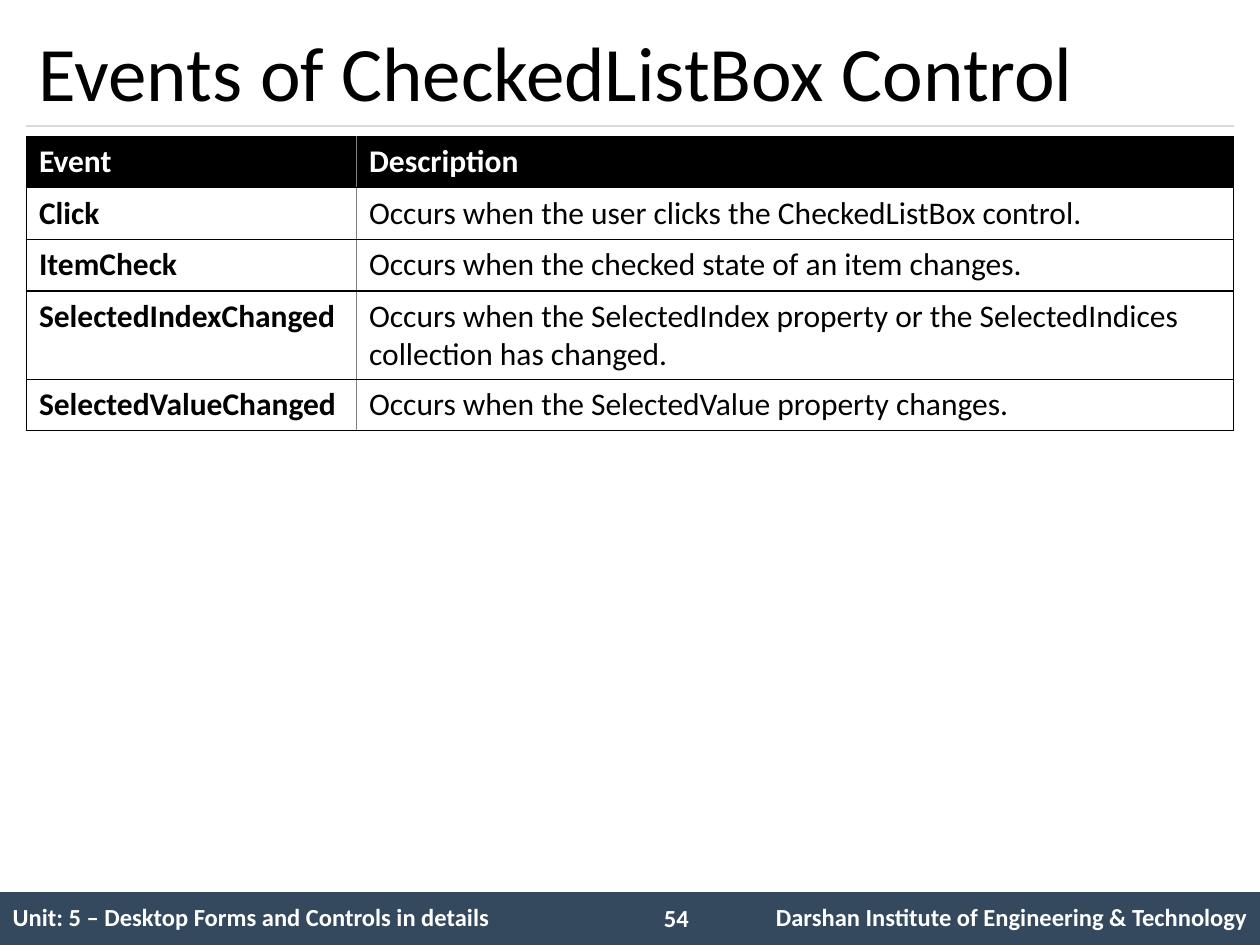
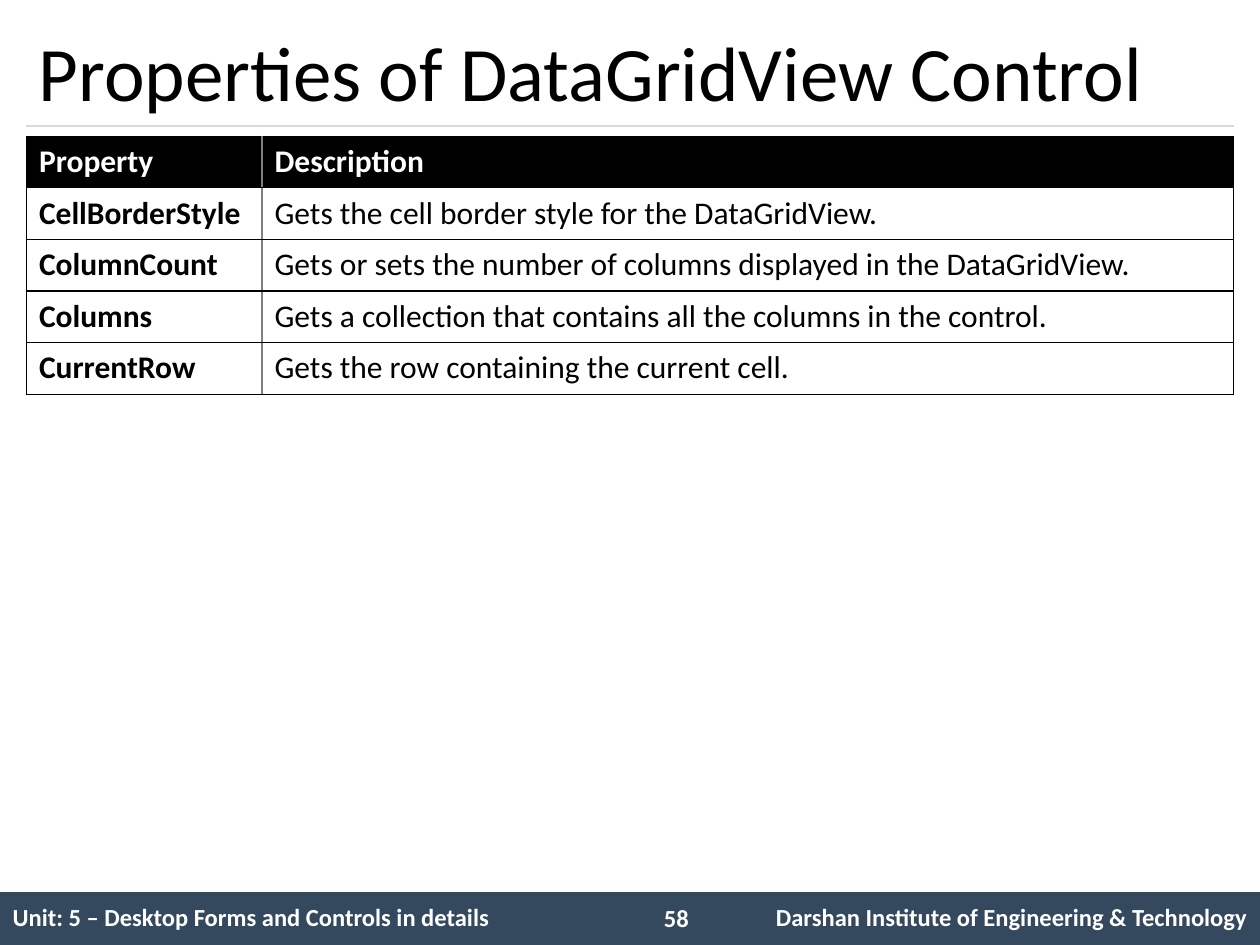
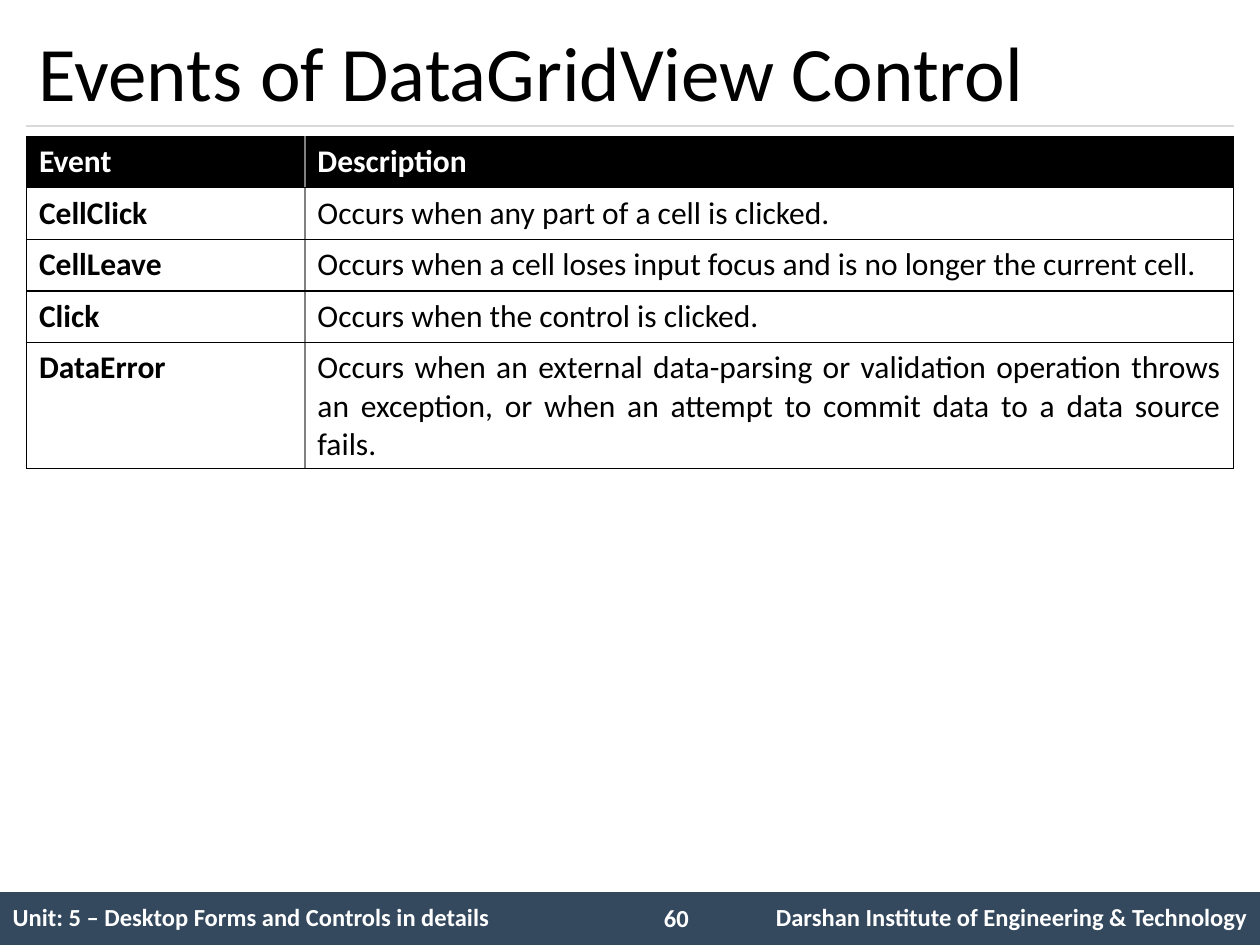
from lxml import etree
from pptx import Presentation
from pptx.dml.color import RGBColor
from pptx.enum.shapes import MSO_CONNECTOR, MSO_SHAPE
from pptx.enum.text import MSO_ANCHOR, MSO_AUTO_SIZE, PP_ALIGN
from pptx.oxml.ns import qn
from pptx.util import Inches, Pt

LEFT, RIGHT, JUSTIFY = PP_ALIGN.LEFT, PP_ALIGN.RIGHT, PP_ALIGN.JUSTIFY
TOP, MIDDLE = MSO_ANCHOR.TOP, MSO_ANCHOR.MIDDLE
RECTANGLE, STRAIGHT = MSO_SHAPE.RECTANGLE, MSO_CONNECTOR.STRAIGHT
GROW = MSO_AUTO_SIZE.SHAPE_TO_FIT_TEXT

BLACK = RGBColor(0x00, 0x00, 0x00)
WHITE = RGBColor(0xFF, 0xFF, 0xFF)
NAVY = RGBColor(0x34, 0x49, 0x5E)
RULE_GREY = RGBColor(0xD9, 0xD9, 0xD9)
DIVIDER_GREY = RGBColor(0x80, 0x80, 0x80)

TITLE = {"size": Pt(44), "color": BLACK}
HEADER = {"size": Pt(18), "bold": True, "color": WHITE}
NAME = {"size": Pt(18), "bold": True, "color": BLACK}
DESCRIPTION = {"size": Pt(18), "bold": False, "color": BLACK}
FOOTER = {"size": Pt(14), "bold": True, "color": WHITE}

UNIT = "Unit: 5 – Desktop Forms and Controls in details"
INSTITUTE = "Darshan Institute of Engineering & Technology"

SLIDES = [
    {"number": 54, "title": "Events of CheckedListBox Control",
     "name_width": 2.62, "align": LEFT,
     "rows": [
         ("Event", "Description"),
         ("Click", "Occurs when the user clicks the CheckedListBox control."),
         ("ItemCheck", "Occurs when the checked state of an item changes."),
         ("SelectedIndexChanged", "Occurs when the SelectedIndex property or the "
          "SelectedIndices collection has changed."),
         ("SelectedValueChanged", "Occurs when the SelectedValue property changes."),
     ]},
    {"number": 58, "title": "Properties of DataGridView Control",
     "name_width": 1.87, "align": JUSTIFY,
     "rows": [
         ("Property", "Description"),
         ("CellBorderStyle", "Gets the cell border style for the DataGridView."),
         ("ColumnCount", "Gets or sets the number of columns displayed in the DataGridView."),
         ("Columns", "Gets a collection that contains all the columns in the control."),
         ("CurrentRow", "Gets the row containing the current cell."),
     ]},
    {"number": 60, "title": "Events of DataGridView Control",
     "name_width": 2.21, "align": JUSTIFY,
     "rows": [
         ("Event", "Description"),
         ("CellClick", "Occurs when any part of a cell is clicked."),
         ("CellLeave", "Occurs when a cell loses input focus and is no longer the current cell."),
         ("Click", "Occurs when the control is clicked."),
         ("DataError", "Occurs when an external data-parsing or validation operation throws "
          "an exception, or when an attempt to commit data to a data source fails."),
     ]},
]

SLIDE_W, SLIDE_H = 10, 7.5
MARGIN = 0.21
CONTENT_W = SLIDE_W - 2 * MARGIN
RULE_Y, TABLE_Y, ROW_H = 1, 1.08, 0.41
BAND_Y = 7.08
BAND_H = SLIDE_H - BAND_Y
FOOTER_COLS = (5.08, 0.67, 4.25)


def write(tf, text, style, align=LEFT):
    p = tf.paragraphs[0]
    p.alignment = align
    r = p.add_run()
    r.text = text
    r.font.name = "Calibri"
    for key, value in style.items():
        if key == "color":
            r.font.color.rgb = value
        else:
            setattr(r.font, key, value)


def add_text(slide, box, text, style, anchor=TOP):
    tf = slide.shapes.add_textbox(*map(Inches, box)).text_frame
    tf.word_wrap = True
    tf.vertical_anchor = anchor
    write(tf, text, style)
    return tf


def set_borders(cell, borders):
    """Draw the sides given as {side: (colour, points)}; clear the others."""
    tcPr = cell._tc.get_or_add_tcPr()
    for side in "LRTB":
        ln = etree.SubElement(tcPr, qn(f"a:ln{side}"))
        if side in borders:
            color, points = borders[side]
            ln.set("w", str(Pt(points)))
            fill = etree.SubElement(ln, qn("a:solidFill"))
            etree.SubElement(fill, qn("a:srgbClr"), val=str(color))
        else:
            etree.SubElement(ln, qn("a:noFill"))


def add_grid(slide, x, y, widths, row_count, row_h):
    frame = slide.shapes.add_table(row_count, len(widths), Inches(x), Inches(y),
                                   Inches(sum(widths)), Inches(row_h * row_count))
    table = frame.table
    table.horz_banding = False
    for column, width in zip(table.columns, widths):
        column.width = Inches(width)
    return table


def add_frame(slide, number):
    """Add the title rule and the footer band."""
    band = slide.shapes.add_shape(RECTANGLE, 0, Inches(BAND_Y),
                                  Inches(SLIDE_W), Inches(BAND_H))
    band.shadow.inherit = False
    band.fill.solid()
    band.fill.fore_color.rgb = NAVY
    band.line.fill.background()

    rule = slide.shapes.add_connector(STRAIGHT, Inches(MARGIN), Inches(RULE_Y),
                                      Inches(SLIDE_W - MARGIN), Inches(RULE_Y))
    rule.line.color.rgb = RULE_GREY
    rule.line.width = Pt(0.75)
    etree.SubElement(rule._element.spPr, qn("a:effectLst"))

    footer = add_grid(slide, 0, BAND_Y, FOOTER_COLS, 1, BAND_H)
    footer.first_row = False
    for cell in footer.iter_cells():
        set_borders(cell, {})
        cell.fill.background()
        cell.vertical_anchor = MIDDLE
    write(footer.cell(0, 0).text_frame, UNIT, FOOTER)
    write(footer.cell(0, 2).text_frame, INSTITUTE, FOOTER, RIGHT)
    tf = add_text(slide, (5.17, 7.12, 0.58, 0.34), str(number), FOOTER)
    tf.auto_size = GROW


def add_member_table(slide, rows, name_width, align):
    widths = (name_width, CONTENT_W - name_width)
    table = add_grid(slide, MARGIN, TABLE_Y, widths, len(rows), ROW_H)
    outer, divider = (BLACK, 0.75), (DIVIDER_GREY, 1)
    for i, row in enumerate(rows):
        for j, text in enumerate(row):
            cell = table.cell(i, j)
            set_borders(cell, {"L": divider if j else outer,
                               "R": outer if j else divider,
                               "T": outer, "B": outer})
            if i == 0:
                cell.fill.solid()
                cell.fill.fore_color.rgb = BLACK
                write(cell.text_frame, text, HEADER)
            else:
                cell.fill.background()
                write(cell.text_frame, text, DESCRIPTION if j else NAME,
                      align if j else LEFT)


def main():
    prs = Presentation()
    prs.slide_width, prs.slide_height = Inches(SLIDE_W), Inches(SLIDE_H)
    for content in SLIDES:
        slide = prs.slides.add_slide(prs.slide_layouts[6])
        add_frame(slide, content["number"])
        add_text(slide, (MARGIN, 0.12, CONTENT_W, 0.88), content["title"], TITLE, MIDDLE)
        add_member_table(slide, content["rows"], content["name_width"], content["align"])
    prs.save("out.pptx")


if __name__ == "__main__":
    main()
